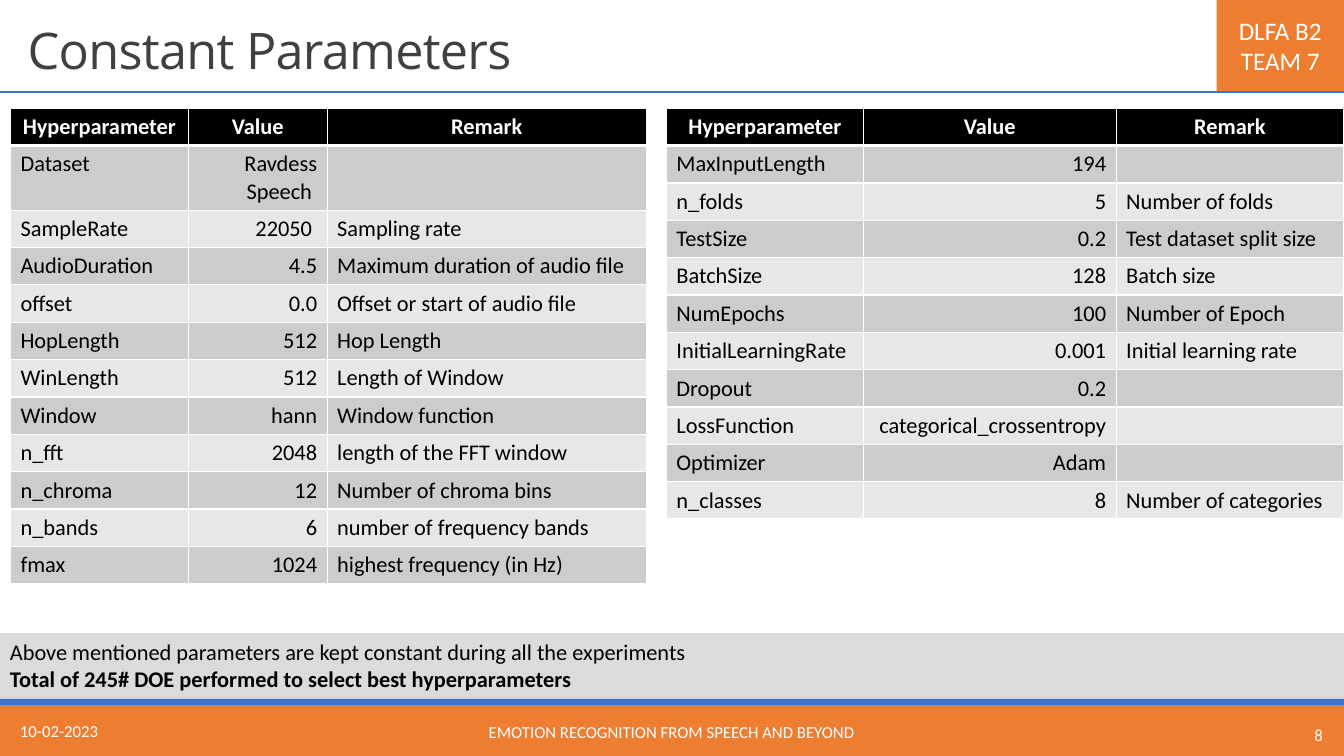
import pptx
import pptx.dml.color
import pptx.enum.shapes
import pptx.enum.text
import pptx.oxml
import pptx.oxml.ns
import pptx.util

Pt = pptx.util.Pt
ALIGN = pptx.enum.text.PP_ALIGN
ANCHOR = pptx.enum.text.MSO_ANCHOR

COLORS = {
    "orange": "ED7D31", "blue": "4472C4", "white": "FFFFFF", "black": "000000",
    "title": "404040", "note": "DBDBDB", "band_dark": "CCCCCC", "band_light": "E7E7E7",
}
HEADER = ("Hyperparameter", "Value", "Remark")
AUDIO_ROWS = [
    ("Dataset", "Ravdess Speech ", ""),
    ("SampleRate", "22050 ", "Sampling rate"),
    ("AudioDuration", "4.5", "Maximum duration of audio file"),
    ("offset", "0.0", "Offset or start of audio file"),
    ("HopLength", "512", "Hop Length"),
    ("WinLength", "512", "Length of Window"),
    ("Window", "hann", "Window function"),
    ("n_fft", "2048", "length of the FFT window"),
    ("n_chroma", "12", "Number of chroma bins"),
    ("n_bands", "6", "number of frequency bands"),
    ("fmax", "1024", "highest frequency (in Hz)"),
]
TRAINING_ROWS = [
    ("MaxInputLength", "194", ""),
    ("n_folds", "5", "Number of folds"),
    ("TestSize", "0.2", "Test dataset split size"),
    ("BatchSize", "128", "Batch size"),
    ("NumEpochs", "100", "Number of Epoch"),
    ("InitialLearningRate", "0.001", "Initial learning rate"),
    ("Dropout", "0.2", ""),
    ("LossFunction", "categorical_crossentropy", ""),
    ("Optimizer", "Adam", ""),
    ("n_classes", "8", "Number of categories"),
]


def rgb(name):
    return pptx.dml.color.RGBColor.from_string(COLORS[name])


class SlideBuilder:
    font = "Calibri"
    row_height = 26.7
    line_height = 19.5

    def __init__(self, s):
        self.s = s

    def format_text(self, tf, size, color, align=ALIGN.LEFT, bold=False, font=None):
        for p in tf.paragraphs:
            p.alignment = align
            for r in p.runs:
                r.font.name = font or self.font
                r.font.size = Pt(size)
                r.font.bold = bold
                r.font.color.rgb = rgb(color)

    def title(self, text, x, y, w, h):
        sp = self.s.shapes.title
        sp.left, sp.top, sp.width, sp.height = Pt(x), Pt(y), Pt(w), Pt(h)
        tf = sp.text_frame
        tf.text = text
        tf.auto_size = pptx.enum.text.MSO_AUTO_SIZE.NONE
        tf.vertical_anchor = ANCHOR.BOTTOM
        self.format_text(tf, 36, "title", font="Open Sans")
        p = tf.paragraphs[0]
        p.line_spacing = 0.85
        p.space_after = Pt(6)
        p.runs[0].font._element.set("spc", "-50")

    def box(self, x, y, w, h, fill):
        rect = pptx.enum.shapes.MSO_SHAPE.RECTANGLE
        sp = self.s.shapes.add_shape(rect, Pt(x), Pt(y), Pt(w), Pt(h))
        sp.shadow.inherit = False
        sp.fill.solid()
        sp.fill.fore_color.rgb = rgb(fill)
        sp.line.fill.background()
        return sp

    def label(self, text, x, y, w, h, align):
        tf = self.s.shapes.add_textbox(Pt(x), Pt(y), Pt(w), Pt(h)).text_frame
        tf.word_wrap = True
        tf.vertical_anchor = ANCHOR.MIDDLE
        tf.text = text
        self.format_text(tf, 12, "white", align)

    def rule(self, x1, y, x2, color, width):
        straight = pptx.enum.shapes.MSO_CONNECTOR.STRAIGHT
        cxn = self.s.shapes.add_connector(straight, Pt(x1), Pt(y), Pt(x2), Pt(y))
        cxn.line.color.rgb = rgb(color)
        cxn.line.width = Pt(width)
        effects = pptx.oxml.parse_xml(f'<a:effectLst {pptx.oxml.ns.nsdecls("a")}/>')
        cxn._element.spPr.append(effects)

    def cell_borders(self, cell, top, bottom):
        tcPr = cell._tc.get_or_add_tcPr()
        for side, width in (("L", 1), ("R", 1), ("T", top), ("B", bottom)):
            tcPr.append(pptx.oxml.parse_xml(
                f'<a:ln{side} {pptx.oxml.ns.nsdecls("a")} w="{Pt(width)}"><a:solidFill>'
                f'<a:srgbClr val="{COLORS["white"]}"/></a:solidFill></a:ln{side}>'))

    def table(self, rows, x, y, widths, two_line_rows=()):
        data = [HEADER] + rows
        frame = self.s.shapes.add_table(len(data), len(widths), Pt(x), Pt(y),
                                        Pt(sum(widths)), Pt(self.row_height * len(data)))
        table = frame.table
        for column, width in zip(table.columns, widths):
            column.width = Pt(width)
        for i, values in enumerate(data):
            extra = self.line_height if i in two_line_rows else 0
            table.rows[i].height = Pt(self.row_height + extra)
            fill = "black" if i == 0 else ("band_light", "band_dark")[i % 2]
            for j, value in enumerate(values):
                cell = table.cell(i, j)
                self.cell_borders(cell, 3 if i == 1 else 1, 3 if i == 0 else 1)
                cell.fill.solid()
                cell.fill.fore_color.rgb = rgb(fill)
                cell.text_frame.text = value
                if i == 0:
                    self.format_text(cell.text_frame, 16, "white", ALIGN.CENTER, bold=True)
                else:
                    align = ALIGN.RIGHT if j == 1 else ALIGN.LEFT
                    self.format_text(cell.text_frame, 16, "black", align)
                if not value:
                    cell.text_frame.paragraphs[0].font.size = Pt(16)


def main():
    prs = pptx.Presentation()
    prs.slide_width, prs.slide_height = Pt(960), Pt(540)
    b = SlideBuilder(prs.slides.add_slide(prs.slide_layouts[5]))

    # Footer bands, header rule and team badge
    b.box(0, 504, 960, 36, "orange")
    b.box(0, 499, 960, 5, "blue")
    b.rule(0, 65.5, 960, "blue", 1.5)
    badge = b.box(869, 0, 91, 65, "orange").text_frame
    badge.word_wrap = True
    badge.vertical_anchor = ANCHOR.MIDDLE
    badge.text = "DLFA B2 TEAM 7"
    b.format_text(badge, 18, "white", ALIGN.CENTER)

    # Footer text
    b.label("10-02-2023", 7.2, 507.6, 194.4, 28.8, ALIGN.LEFT)
    b.label("EMOTION RECOGNITION FROM SPEECH AND BEYOND", 290, 508.6, 379.6, 28.8, ALIGN.CENTER)
    b.label("8", 849, 510.5, 103, 28.8, ALIGN.RIGHT)

    # Title and parameter tables
    b.title("Constant Parameters", 12.5, 0, 792, 60.5)
    b.table(AUDIO_ROWS, 7.5, 77.3, (127, 99.2, 228), two_line_rows=(1,))
    b.table(TRAINING_ROWS, 476, 77.3, (140.8, 180.5, 162.5))

    # Summary note
    note = b.box(0, 452.2, 960, 46.3, "note").text_frame
    note.word_wrap = True
    note.vertical_anchor = ANCHOR.TOP
    note.text = ("Above mentioned parameters are kept constant during all the experiments\n"
                 "Total of 245# DOE performed to select best hyperparameters")
    b.format_text(note, 16, "black")
    note.paragraphs[1].runs[0].font.bold = True

    prs.save("out.pptx")


if __name__ == "__main__":
    main()
